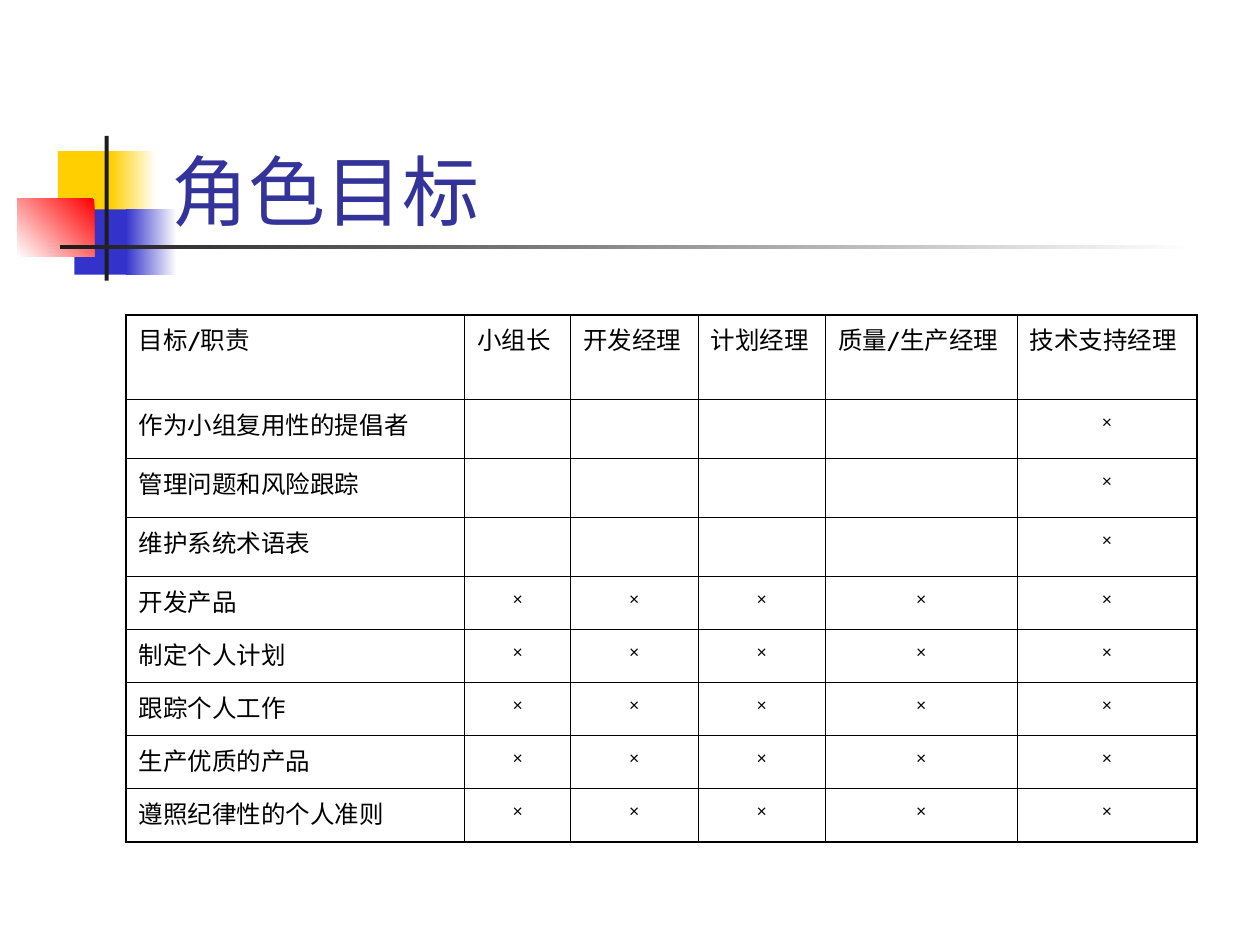
from lxml import etree
from pptx import Presentation
from pptx.dml.color import RGBColor
from pptx.enum.shapes import MSO_SHAPE
from pptx.enum.text import MSO_ANCHOR, PP_ALIGN
from pptx.oxml.ns import qn
from pptx.util import Cm, Pt

RECTANGLE = MSO_SHAPE.RECTANGLE
BOTTOM = MSO_ANCHOR.BOTTOM
LEFT, CENTER = PP_ALIGN.LEFT, PP_ALIGN.CENTER
FONT = "Cabin"
THIN, THICK = Pt(0.45), Pt(1.08)


def color(value):
    return RGBColor.from_string(value)


def add_border(cell, side, width):
    line = etree.SubElement(cell._tc.get_or_add_tcPr(), qn(f"a:ln{side}"), w=str(width))
    fill = etree.SubElement(line, qn("a:solidFill"))
    etree.SubElement(fill, qn("a:srgbClr"), val="000000")


deck = Presentation()
deck.slide_width, deck.slide_height = Cm(25.4), Cm(19.05)
page = deck.slides.add_slide(deck.slide_layouts[6])

decorations = [
    (1.17, 3.05, 1.22, 1.32, ["FFCF01"], 0),
    (2.24, 3.05, 0.91, 1.32, ["FFFFFF", "FFCF01"], 180),
    (1.5, 4.22, 1.17, 1.32, ["3333CC"], 0),
    (2.54, 4.22, 1.02, 1.32, ["FFFFFF", "3333CC"], 180),
    (0.35, 4.01, 1.55, 1.17, ["FF0000", "FFFFFF"], 225),
    (2.11, 2.74, 0.08, 2.92, ["1C1C1C"], 0),
    (1.22, 4.94, 22.86, 0.09, ["FFFFFF", "1C1C1C"], 180),
]
for left, top, width, height, shades, angle in decorations:
    block = page.shapes.add_shape(RECTANGLE, Cm(left), Cm(top), Cm(width), Cm(height))
    block.shadow.inherit = False
    block.line.fill.background()
    if len(shades) == 1:
        block.fill.solid()
        block.fill.fore_color.rgb = color(shades[0])
    else:
        block.fill.gradient()
        block.fill.gradient_angle = angle
        for stop, shade in zip(block.fill.gradient_stops, shades):
            stop.color.rgb = color(shade)

title = page.shapes.add_textbox(Cm(3.2), Cm(1.7), Cm(21.64), Cm(3.18))
title.text_frame.word_wrap = True
title.text_frame.vertical_anchor = BOTTOM
title.text_frame.text = "角色目标"
title_font = title.text_frame.paragraphs[0].runs[0].font
title_font.name, title_font.size = FONT, Pt(44)
title_font.color.rgb = color("333399")

headings = ["目标/职责", "小组长", "开发经理", "计划经理", "质量/生产经理", "技术支持经理"]
support_goals = ["作为小组复用性的提倡者", "管理问题和风险跟踪", "维护系统术语表"]
shared_goals = ["开发产品", "制定个人计划", "跟踪个人工作", "生产优质的产品", "遵照纪律性的个人准则"]
rows = [headings]
rows += [[goal] + [""] * 4 + ["×"] for goal in support_goals]
rows += [[goal] + ["×"] * 5 for goal in shared_goals]
column_widths = [6.83, 2.13, 2.57, 2.57, 3.86, 3.63]
row_heights = [1.7] + [1.19] * len(support_goals) + [1.07] * len(shared_goals)

frame = page.shapes.add_table(
    len(rows), len(headings), Cm(2.54), Cm(6.35), Cm(sum(column_widths)), Cm(sum(row_heights))
)
table = frame.table
table.first_row = table.horz_banding = False
for column, width in zip(table.columns, column_widths):
    column.width = Cm(width)
for row, height in zip(table.rows, row_heights):
    row.height = Cm(height)

last_row, last_column = len(rows) - 1, len(headings) - 1
for row_index, texts in enumerate(rows):
    for column_index, text in enumerate(texts):
        cell = table.cell(row_index, column_index)
        add_border(cell, "L", THICK if column_index == 0 else THIN)
        add_border(cell, "R", THICK if column_index == last_column else THIN)
        add_border(cell, "T", THICK if row_index == 0 else THIN)
        add_border(cell, "B", THICK if row_index == last_row else THIN)
        cell.fill.background()
        cell.text_frame.text = text
        para = cell.text_frame.paragraphs[0]
        para.alignment = CENTER if text == "×" else LEFT
        para.space_before = Pt(3.5)
        para.font.size = Pt(14)
        for span in para.runs:
            span.font.name, span.font.size = FONT, Pt(14)
            span.font.color.rgb = color("000000")

deck.save("out.pptx")
